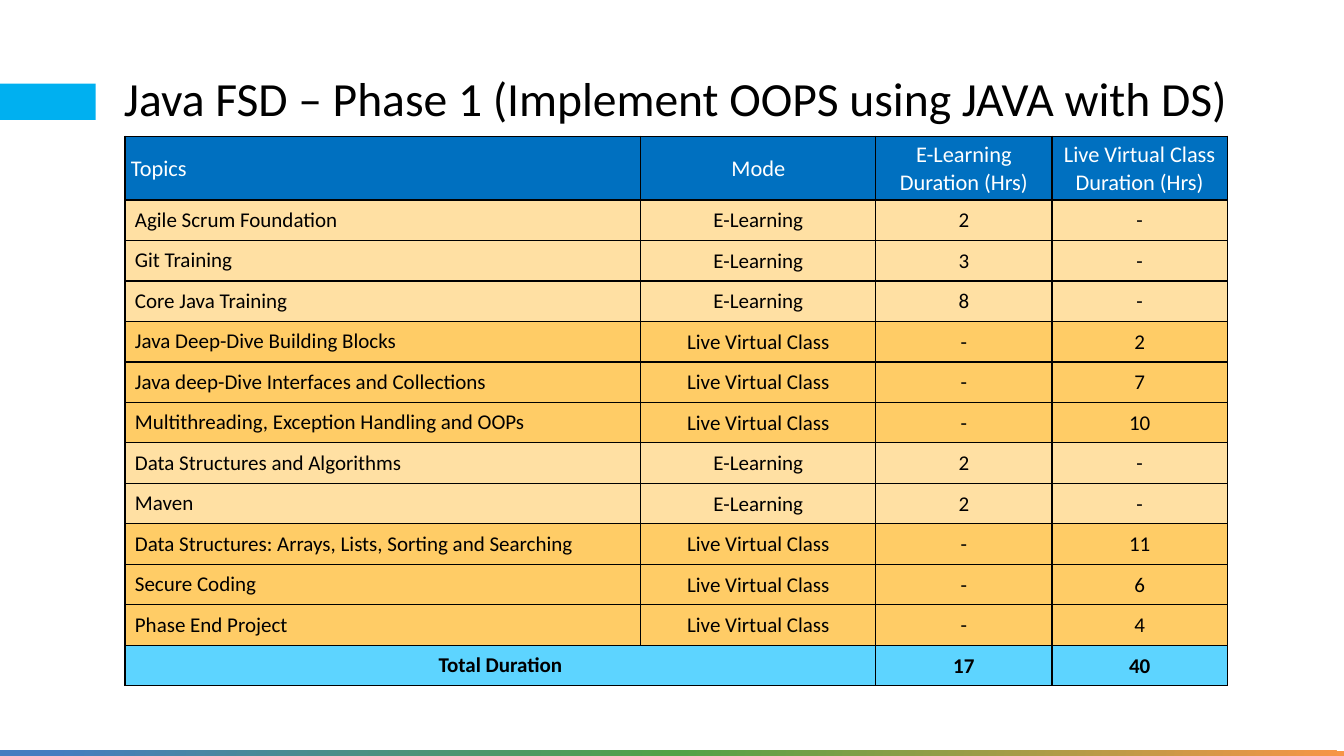
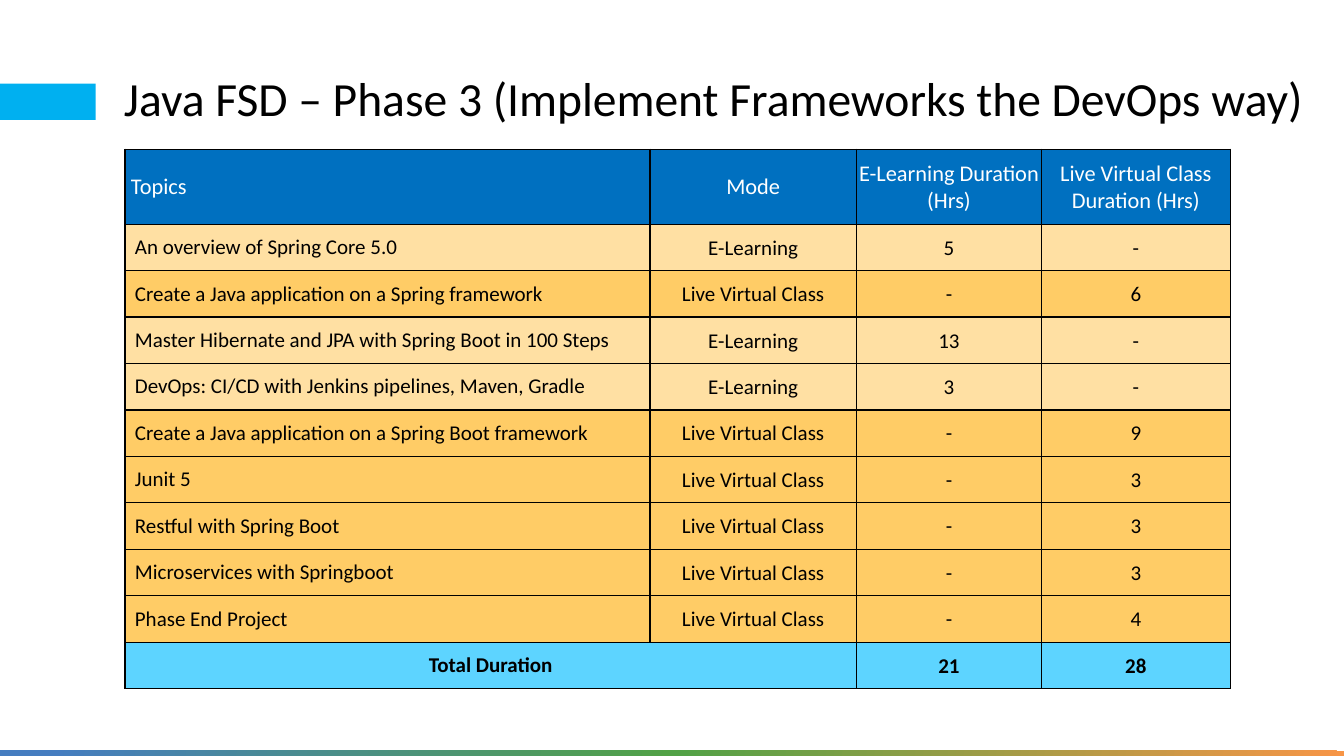
from dataclasses import dataclass
from typing import Any

import lxml.etree
import pptx
import pptx.dml.color
import pptx.enum.shapes
import pptx.enum.text
import pptx.oxml.ns
import pptx.util

Cm, Pt = pptx.util.Cm, pptx.util.Pt
RGB = pptx.dml.color.RGBColor.from_string
Align = pptx.enum.text.PP_ALIGN
Anchor = pptx.enum.text.MSO_ANCHOR
qn = pptx.oxml.ns.qn


# Theme: colours, type sizes and lengths shared by the slides
@dataclass(frozen=True)
class Theme:
    face: str = "Calibri"
    ink: str = "000000"
    paper: str = "FFFFFF"
    accent: str = "00B0F0"
    head: str = "0070C0"
    study: str = "FFE0A3"
    live: str = "FFCC66"
    total: str = "5DD4FF"
    strip: tuple[tuple[int, str], ...] = (
        (0, "F79546"), (50, "51A246"), (96, "457DC0"))
    big: int = 34
    mid: int = 16
    small: int = 15
    left: float = 3.15


THEME = Theme()
STUDY, LIVE = "E-Learning", "Live Virtual Class"
TIGHT = dict(margin_left=Cm(0.03), margin_right=Cm(0.03),
             margin_top=Cm(0.03), margin_bottom=Cm(0))
TOPIC = dict(margin_left=Cm(0.25), margin_right=Cm(0.25),
             margin_top=Cm(0.13), margin_bottom=Cm(0.13))


@dataclass(frozen=True)
class Topic:
    name: str
    mode: str
    hours: int


@dataclass(frozen=True)
class Phase:
    title: str
    width: float
    top: float
    cols: tuple[float, ...]
    head: float
    row: float
    topics: tuple[Topic, ...]


@dataclass(frozen=True)
class Look:
    fill: str
    ink: str
    size: int
    bold: bool = False


HEAD = Look(THEME.head, THEME.paper, THEME.mid)
TOTAL = Look(THEME.total, THEME.ink, THEME.small, True)
LOOKS = {STUDY: Look(THEME.study, THEME.ink, THEME.small),
         LIVE: Look(THEME.live, THEME.ink, THEME.small)}

PHASES = (
    Phase("Java FSD – Phase 1 (Implement OOPS using JAVA with DS)",
          29.21, 3.43, (13, 5.92, 4.44, 4.42), 1.61, 1.02, (
              Topic("Agile Scrum Foundation", STUDY, 2),
              Topic("Git Training", STUDY, 3),
              Topic("Core Java Training", STUDY, 8),
              Topic("Java Deep-Dive Building Blocks", LIVE, 2),
              Topic("Java deep-Dive Interfaces and Collections", LIVE, 7),
              Topic("Multithreading, Exception Handling and OOPs", LIVE, 10),
              Topic("Data Structures and Algorithms", STUDY, 2),
              Topic("Maven", STUDY, 2),
              Topic("Data Structures: Arrays, Lists, Sorting and Searching",
                    LIVE, 11),
              Topic("Secure Coding", LIVE, 6),
              Topic("Phase End Project", LIVE, 4))),
    Phase("Java FSD – Phase 3 (Implement Frameworks the DevOps way)",
          30.68, 3.76, (13.23, 5.2, 4.67, 4.75), 1.89, 1.17, (
              Topic("An overview of Spring Core 5.0", STUDY, 5),
              Topic("Create a Java application on a Spring framework", LIVE, 6),
              Topic("Master Hibernate and JPA with Spring Boot in 100 Steps",
                    STUDY, 13),
              Topic("DevOps: CI/CD with Jenkins pipelines, Maven, Gradle",
                    STUDY, 3),
              Topic("Create a Java application on a Spring Boot framework",
                    LIVE, 9),
              Topic("Junit 5", LIVE, 3),
              Topic("Restful with Spring Boot", LIVE, 3),
              Topic("Microservices with Springboot", LIVE, 3),
              Topic("Phase End Project", LIVE, 4))),
)


def style(item: Any, values: dict[str, Any]) -> None:
    for key, value in values.items():
        setattr(item, key, value)


def ink(font: Any, size: int, color: str, bold: bool = False) -> None:
    style(font, dict(name=THEME.face, size=Pt(size), bold=bold))
    font.color.rgb = RGB(color)


# Bands: drawn once, then held by the layout
def band(slide: Any, *box: float) -> Any:
    kind = pptx.enum.shapes.MSO_SHAPE.RECTANGLE
    shape = slide.shapes.add_shape(kind, *map(Cm, box))
    shape.shadow.inherit = False
    shape.line.fill.background()
    return shape


def add_bands(slide: Any) -> None:
    strip = band(slide, 0, 18.92, 33.87, 0.13)
    strip.fill.gradient()
    strip.fill.gradient_angle = 170
    stops = strip.element.find(".//" + qn("a:gsLst"))
    for old in list(stops):
        stops.remove(old)
    for place, color in THEME.strip:
        stop = lxml.etree.SubElement(stops, qn("a:gs"), pos=str(place * 1000))
        lxml.etree.SubElement(stop, qn("a:srgbClr"), val=color)
    mark = band(slide, 0, 2.11, 2.41, 0.91)
    mark.fill.solid()
    mark.fill.fore_color.rgb = RGB(THEME.accent)
    tree = slide.slide_layout.element.cSld.spTree
    for spot, shape in enumerate((strip, mark), start=2):
        tree.insert(spot, shape.element)


# Title
def set_title(slide: Any, phase: Phase) -> None:
    title = slide.shapes.title
    style(title, dict(left=Cm(2.87), top=Cm(1.7),
                      width=Cm(phase.width), height=Cm(1.68)))
    frame = title.text_frame
    style(frame, dict(text=phase.title, word_wrap=True,
                      auto_size=pptx.enum.text.MSO_AUTO_SIZE.NONE,
                      vertical_anchor=Anchor.MIDDLE))
    para = frame.paragraphs[0]
    style(para, dict(alignment=Align.LEFT, line_spacing=0.9))
    ink(para.font, THEME.big, THEME.ink)


# Table
def grid(phase: Phase) -> list[tuple[Look, tuple[str, ...]]]:
    rows = [(HEAD, ("Topics", "Mode", f"{STUDY} Duration (Hrs)",
                    f"{LIVE} Duration (Hrs)"))]
    for topic in phase.topics:
        hours = (str(topic.hours) if topic.mode == mode else "-"
                 for mode in LOOKS)
        rows.append((LOOKS[topic.mode], (topic.name, topic.mode, *hours)))
    sums = (str(sum(t.hours for t in phase.topics if t.mode == mode))
            for mode in LOOKS)
    return rows + [(TOTAL, ("Total Duration", "", *sums))]


def fill_cell(cell: Any, text: str, look: Look, first: bool) -> None:
    style(cell, dict(text=text, vertical_anchor=Anchor.MIDDLE))
    style(cell, TOPIC if first and look is not HEAD else TIGHT)
    if first and look is HEAD:
        cell.margin_left = Cm(0.15)
    cell.fill.solid()
    cell.fill.fore_color.rgb = RGB(look.fill)
    para = cell.text_frame.paragraphs[0]
    left = first and look is not TOTAL
    para.alignment = Align.LEFT if left else Align.CENTER
    ink(para.font, look.size, look.ink, look.bold)


def add_edges(props: Any) -> None:
    for spot, side in enumerate(("lnL", "lnR", "lnT", "lnB")):
        edge = lxml.etree.Element(qn("a:" + side), w=str(Pt(1)))
        paint = lxml.etree.SubElement(edge, qn("a:solidFill"))
        lxml.etree.SubElement(paint, qn("a:srgbClr"), val=THEME.ink)
        props.insert(spot, edge)


def add_plan(slide: Any, phase: Phase) -> None:
    rows = grid(phase)
    highs = [phase.head] + [phase.row] * (len(rows) - 1)
    box = (THEME.left, phase.top, sum(phase.cols), sum(highs))
    frame = slide.shapes.add_table(len(rows), len(phase.cols), *map(Cm, box))
    table = frame.table
    style(table, dict(first_row=False, horz_banding=False))
    for col, width in zip(table.columns, phase.cols):
        col.width = Cm(width)
    for row, high, (look, texts) in zip(table.rows, highs, rows):
        row.height = Cm(high)
        for spot, (cell, text) in enumerate(zip(row.cells, texts)):
            fill_cell(cell, text, look, spot == 0)
    last = len(rows) - 1
    table.cell(last, 0).merge(table.cell(last, 1))
    for props in frame.element.iter(qn("a:tcPr")):
        add_edges(props)


def main() -> None:
    deck = pptx.Presentation()
    style(deck, dict(slide_width=Cm(33.87), slide_height=Cm(19.05)))
    layout = deck.slide_layouts.get_by_name("Title Only")
    for spot, phase in enumerate(PHASES):
        slide = deck.slides.add_slide(layout)
        if spot == 0:
            add_bands(slide)
        set_title(slide, phase)
        add_plan(slide, phase)
    deck.save("out.pptx")


if __name__ == "__main__":
    main()
